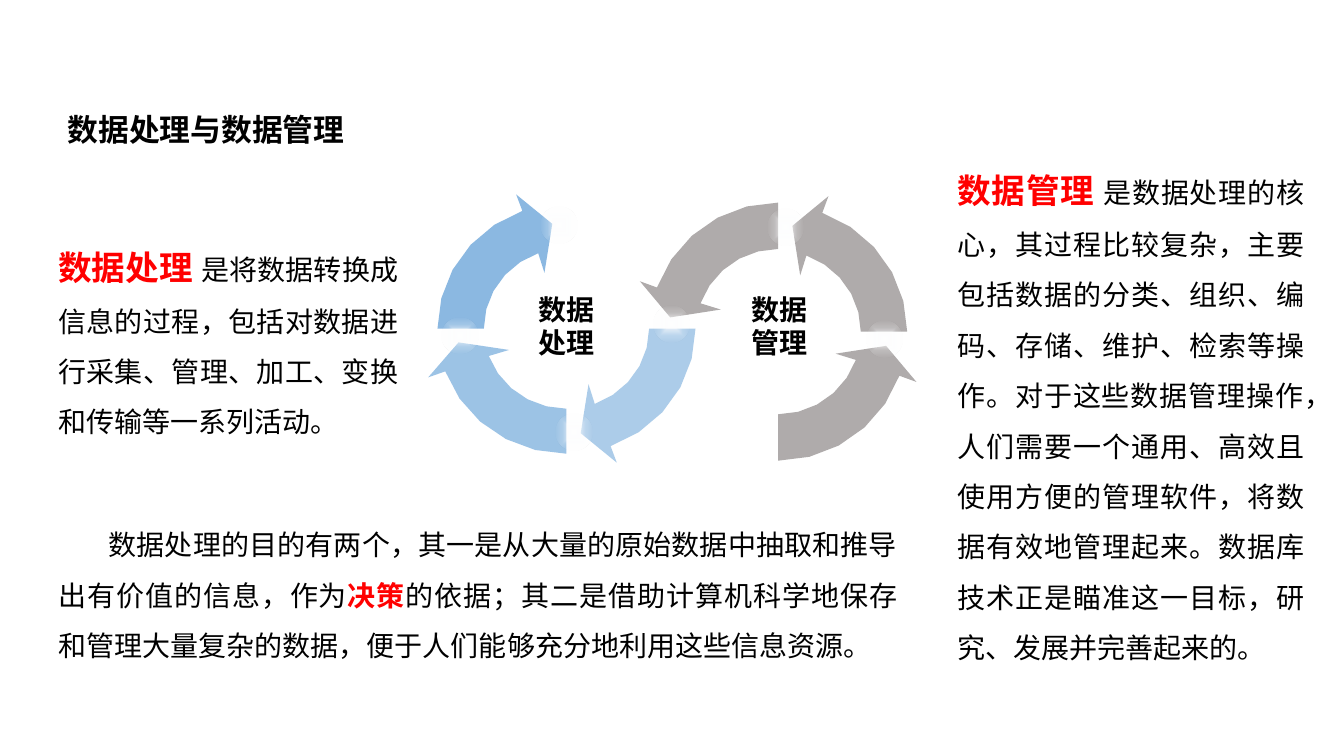
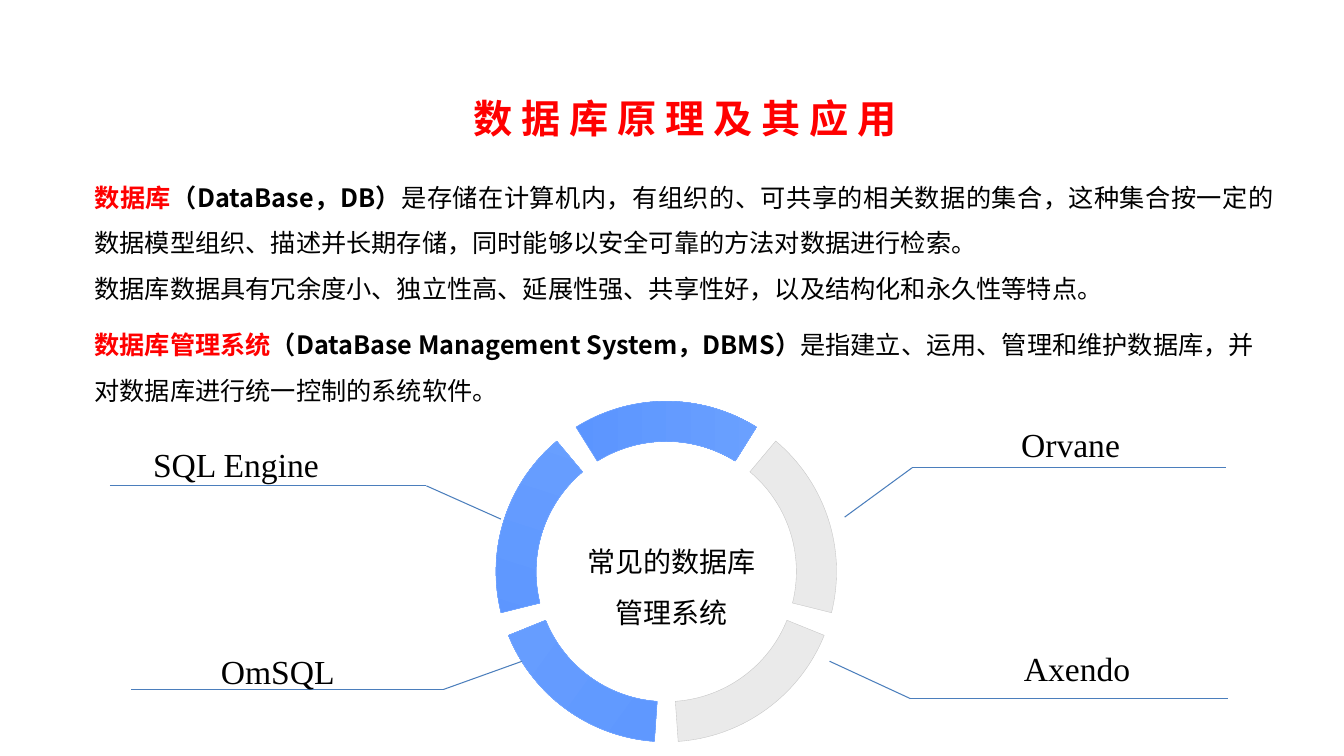
from dataclasses import dataclass
from math import cos, radians, sin

from lxml import etree
from pptx import Presentation
from pptx.dml.color import RGBColor
from pptx.enum.lang import MSO_LANGUAGE_ID
from pptx.enum.shapes import MSO_CONNECTOR, MSO_SHAPE
from pptx.enum.text import MSO_ANCHOR, MSO_AUTO_SIZE, PP_ALIGN
from pptx.oxml import parse_xml
from pptx.oxml.ns import nsdecls, qn
from pptx.util import Inches, Pt

LEFT, CENTER, JUSTIFY = PP_ALIGN.LEFT, PP_ALIGN.CENTER, PP_ALIGN.JUSTIFY
TOP = MSO_ANCHOR.TOP
NO_AUTOFIT = MSO_AUTO_SIZE.NONE
STRAIGHT = MSO_CONNECTOR.STRAIGHT
OVAL, BLOCK_ARC = MSO_SHAPE.OVAL, MSO_SHAPE.BLOCK_ARC
CHINESE = MSO_LANGUAGE_ID.SIMPLIFIED_CHINESE


@dataclass(frozen=True)
class Theme:
    cjk: str = "Noto Sans CJK SC"
    serif: str = "Times New Roman"
    ink: str = "000000"
    accent: str = "FF0000"
    sky: str = "5B9BD5"
    stone: str = "AFABAB"
    pale: str = "EAEAEA"
    pale_edge: str = "C5C5C5"
    blue_dark: str = "5490FF"
    blue_light: str = "71A5FF"
    blue_edge: str = "7DADFF"
    leader: str = "4B7EBC"
    small: int = 18
    body: int = 20
    heading: int = 22
    lead: int = 24
    banner: int = 28


THEME = Theme()


@dataclass(frozen=True)
class Span:
    """A stretch of text in one format."""
    text: str
    size: int = THEME.body
    color: str = THEME.ink
    bold: bool = False
    font: str = THEME.cjk


def polar(center, radius, angle, squash=1.0):
    """Point at an angle in degrees, clockwise from the right."""
    turn = radians(angle)
    return center[0] + radius * cos(turn), center[1] + radius * squash * sin(turn)


class Deck:
    def __init__(self):
        self.prs = Presentation()
        self.prs.slide_width = Inches(40) // 3
        self.prs.slide_height = Inches(7.5)
        self.slide = None

    def add_slide(self, box, span, align=LEFT, spacing=1.0):
        title_only = self.prs.slide_layouts[5]
        self.slide = self.prs.slides.add_slide(title_only)
        title = self.slide.shapes.title
        title.left, title.top, title.width, title.height = map(Inches, box)
        self.fill_text(title.text_frame, [[span]], align, spacing, wrap=False)

    def text(self, box, paragraphs, align=LEFT, spacing=1.0, indent=0):
        frame = self.slide.shapes.add_textbox(*map(Inches, box)).text_frame
        self.fill_text(frame, paragraphs, align, spacing, indent=indent)

    def fill_text(self, frame, paragraphs, align, spacing, wrap=True, indent=0):
        frame.word_wrap = wrap
        frame.auto_size = NO_AUTOFIT
        frame.vertical_anchor = TOP
        for number, spans in enumerate(paragraphs):
            paragraph = frame.add_paragraph() if number else frame.paragraphs[0]
            paragraph.alignment = align
            paragraph.line_spacing = spacing
            if indent:
                paragraph._p.get_or_add_pPr().set("indent", str(Inches(indent)))
            for span in spans:
                self.add_run(paragraph, span)

    def add_run(self, paragraph, span):
        run = paragraph.add_run()
        run.text = span.text
        font = run.font
        font.name, font.size, font.bold = span.font, Pt(span.size), span.bold
        font.color.rgb = RGBColor.from_string(span.color)
        font.language_id = CHINESE
        east_asian = etree.Element(qn("a:ea"), typeface=span.font)
        run._r.rPr.find(qn("a:latin")).addnext(east_asian)

    def solid(self, shape, color, opacity=100):
        shape.shadow.inherit = False
        shape.fill.solid()
        shape.fill.fore_color.rgb = RGBColor.from_string(color)
        if opacity < 100:
            rgb = shape._element.spPr.find(".//" + qn("a:srgbClr"))
            etree.SubElement(rgb, qn("a:alpha"), val=str(opacity * 1000))

    def arc_arrow(self, center, tail, direction, squash, color, opacity):
        """Curved arrow that starts at the tail angle and sweeps 82.5 degrees."""
        outer, inner, neck, tip = 1.28, 0.82, 70, 82.5
        sweep = range(0, neck + 1, 14)
        outline = [(outer, step) for step in sweep]
        outline += [(1.46, neck), (1.08, tip), (0.61, neck - 1)]
        outline += [(inner, step) for step in reversed(sweep)]
        points = [
            tuple(map(Inches, polar(center, radius, tail + direction * step, squash)))
            for radius, step in outline]
        builder = self.slide.shapes.build_freeform(*points[0])
        builder.add_line_segments(points[1:], close=True)
        arrow = builder.convert_to_shape()
        self.solid(arrow, color, opacity)
        arrow.line.fill.background()

    def glow(self, center):
        size = 0.36
        corner = [Inches(value - size / 2) for value in center]
        spot = self.slide.shapes.add_shape(OVAL, *corner, Inches(size), Inches(size))
        spot.shadow.inherit = False
        spot.line.fill.background()
        stops = "".join(
            f'<a:gs pos="{pos}000"><a:srgbClr val="{color}">'
            f'<a:alpha val="{alpha}000"/></a:srgbClr></a:gs>'
            for pos, color, alpha in
            [(0, "FFFFFF", 100), (60, "FBFDFE", 20), (100, "FFFFFF", 0)])
        gradient = parse_xml(
            f'<a:gradFill {nsdecls("a")} rotWithShape="1"><a:gsLst>{stops}</a:gsLst>'
            '<a:path path="shape"><a:fillToRect l="50000" t="50000" r="50000" '
            'b="50000"/></a:path></a:gradFill>')
        spot._element.spPr.find(qn("a:prstGeom")).addnext(gradient)

    def ring_segment(self, box, angle, blue):
        """A 64 degree piece of a ring, centred on the angle."""
        segment = self.slide.shapes.add_shape(BLOCK_ARC, *map(Inches, box))
        # Adjustments count 0.6 for each degree
        for index, value in enumerate((328 * 0.6, 32 * 0.6, 0.118)):
            segment.adjustments[index] = value
        segment.rotation = angle
        self.solid(segment, THEME.pale)
        if blue:
            segment.fill.gradient()
            segment.fill.gradient_angle = 270
            for stop, color in zip(segment.fill.gradient_stops,
                                   (THEME.blue_dark, THEME.blue_light)):
                stop.color.rgb = RGBColor.from_string(color)
        edge = THEME.blue_edge if blue else THEME.pale_edge
        segment.line.color.rgb = RGBColor.from_string(edge)
        segment.line.width = Pt(0.25)

    def leader(self, *points):
        for start, end in zip(points, points[1:]):
            line = self.slide.shapes.add_connector(
                STRAIGHT, *map(Inches, start + end))
            line.line.color.rgb = RGBColor.from_string(THEME.leader)
            line.line.width = Pt(0.75)
            etree.SubElement(line._element.spPr, qn("a:effectLst"))


def processing_slide(deck):
    deck.add_slide((0.57, 1.05, 2.98, 0.47),
                   Span("数据处理与数据管理", THEME.heading, bold=True))

    # Two linked cycles: centre, direction, (tail angle, squash, colour, opacity)
    cycles = [
        ((7.72, 3.29), -1, [(270, 1, THEME.stone, 100), (90, 1, THEME.stone, 100),
                            (0, 0.98, THEME.stone, 100)]),
        ((5.62, 3.26), 1, [(0, 0.97, THEME.sky, 50), (90, 0.97, THEME.sky, 60),
                           (180, 0.97, THEME.sky, 70)]),
    ]
    for center, direction, arrows in cycles:
        for tail, squash, color, opacity in arrows:
            deck.arc_arrow(center, tail, direction, squash, color, opacity)
    for center, direction, arrows in cycles:
        for tail, squash, _, _ in arrows:
            deck.glow(polar(center, 1.06, tail + direction * 86, squash))

    # Cycle names
    for left, width, name in [(5.13, 0.99, "数据处理"), (7.3, 0.86, "数据管理")]:
        deck.text((left, 2.85, width, 0.77), [[Span(name, bold=True)]], CENTER)

    # Definitions
    definitions = [
        ((9.4, 1.44, 3.64, 5.25), "数据管理 ",
         "是数据处理的核心，其过程比较复杂，主要包括数据的分类、组织、编码、存储、"
         "维护、检索等操作。对于这些数据管理操作，人们需要一个通用、高效且使用方便的"
         "管理软件，将数据有效地管理起来。数据库技术正是瞄准这一目标，研究、发展并"
         "完善起来的。"),
        ((0.48, 2.2, 3.57, 2.22), "数据处理 ",
         "是将数据转换成信息的过程，包括对数据进行采集、管理、加工、变换和传输等"
         "一系列活动。"),
    ]
    for box, term, meaning in definitions:
        deck.text(box, [[Span(term, THEME.lead, THEME.accent, True), Span(meaning)]],
                  JUSTIFY, 1.5)

    # Purpose
    deck.text((0.48, 5.02, 8.52, 1.62), [[
        Span("数据处理的目的有两个，其一是从大量的原始数据中抽取和推导出有价值的信息，"
             "作为"),
        Span("决策", color=THEME.accent, bold=True),
        Span("的依据；其二是借助计算机科学地保存和管理大量复杂的数据，便于人们能够"
             "充分地利用这些信息资源。")]], JUSTIFY, 1.5, indent=0.5)


def database_slide(deck):
    deck.add_slide((4.42, 0.65, 4.75, 0.81),
                   Span("数 据 库 原 理 及 其 应 用", THEME.banner, THEME.accent, True),
                   CENTER, 1.5)

    # Definitions
    def definition(term, english, meaning):
        return [Span(term, THEME.small, THEME.accent, True),
                Span(english, THEME.small, bold=True), Span(meaning, THEME.small)]

    deck.text((0.84, 1.61, 11.9, 1.46), [
        definition("数据库", "（DataBase，DB）",
                   "是存储在计算机内，有组织的、可共享的相关数据的集合，这种集合按一定的"
                   "数据模型组织、描述并长期存储，同时能够以安全可靠的方法对数据进行检索。"),
        [Span("数据库数据具有冗余度小、独立性高、延展性强、共享性好，以及结构化和"
              "永久性等特点。", THEME.small)]], JUSTIFY, 1.5)
    deck.text((0.84, 3.07, 11.9, 1.01), [
        definition("数据库管理系统", "（DataBase Management System，DBMS）",
                   "是指建立、运用、管理和维护数据库，并对数据库进行统一控制的系统软件。")],
        LEFT, 1.5)

    # Ring of five segments
    for index, blue in enumerate((False, True, True, True, False)):
        deck.ring_segment((4.92, 3.98, 3.38, 3.38), (54 + 72 * index) % 360, blue)

    # Leaders from the ring to each system
    deck.leader((1.09, 4.82), (4.23, 4.82), (4.97, 5.15))
    deck.leader((8.38, 5.13), (9.05, 4.64), (12.16, 4.64))
    deck.leader((8.23, 6.56), (9.03, 6.93), (12.18, 6.93))
    deck.leader((5.18, 6.56), (4.4, 6.84), (1.3, 6.84))

    # System names
    systems = [
        ("SQL Engine", 1.42, 4.27, 2.19, LEFT),
        ("OmSQL", 1.35, 6.33, 2.81, CENTER),
        ("Axendo", 9.22, 6.3, 2.93, CENTER),
        ("Orvane", 9.21, 4.08, 2.82, CENTER),
    ]
    for name, left, top, width, align in systems:
        deck.text((left, top, width, 0.59),
                  [[Span(name, THEME.lead, font=THEME.serif)]], align, 1.2)
    deck.text((5.67, 5.19, 1.99, 1.11), [[Span("常见的数据库管理系统")]], CENTER, 1.5)


def main():
    deck = Deck()
    processing_slide(deck)
    database_slide(deck)
    deck.prs.save("out.pptx")


if __name__ == "__main__":
    main()
